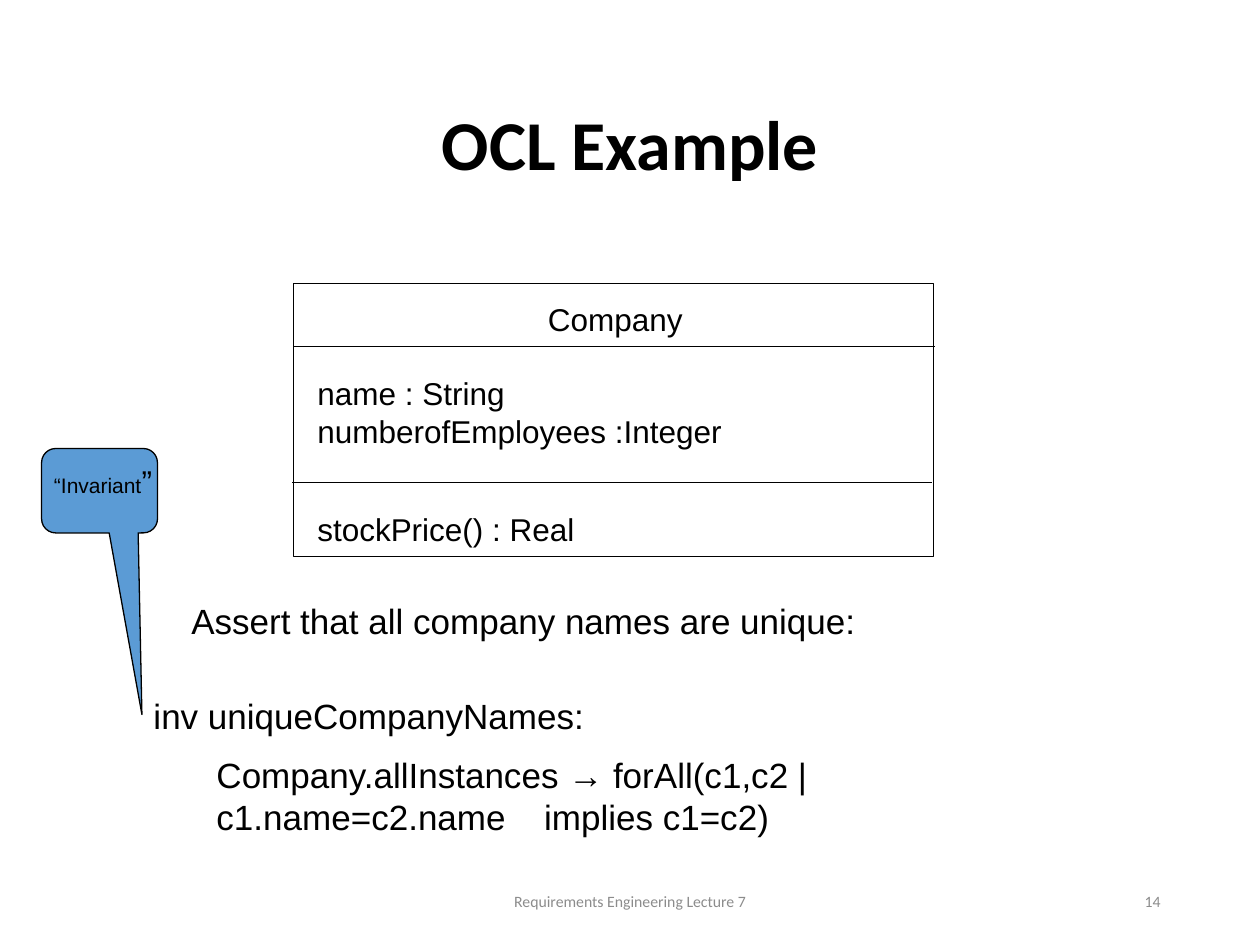
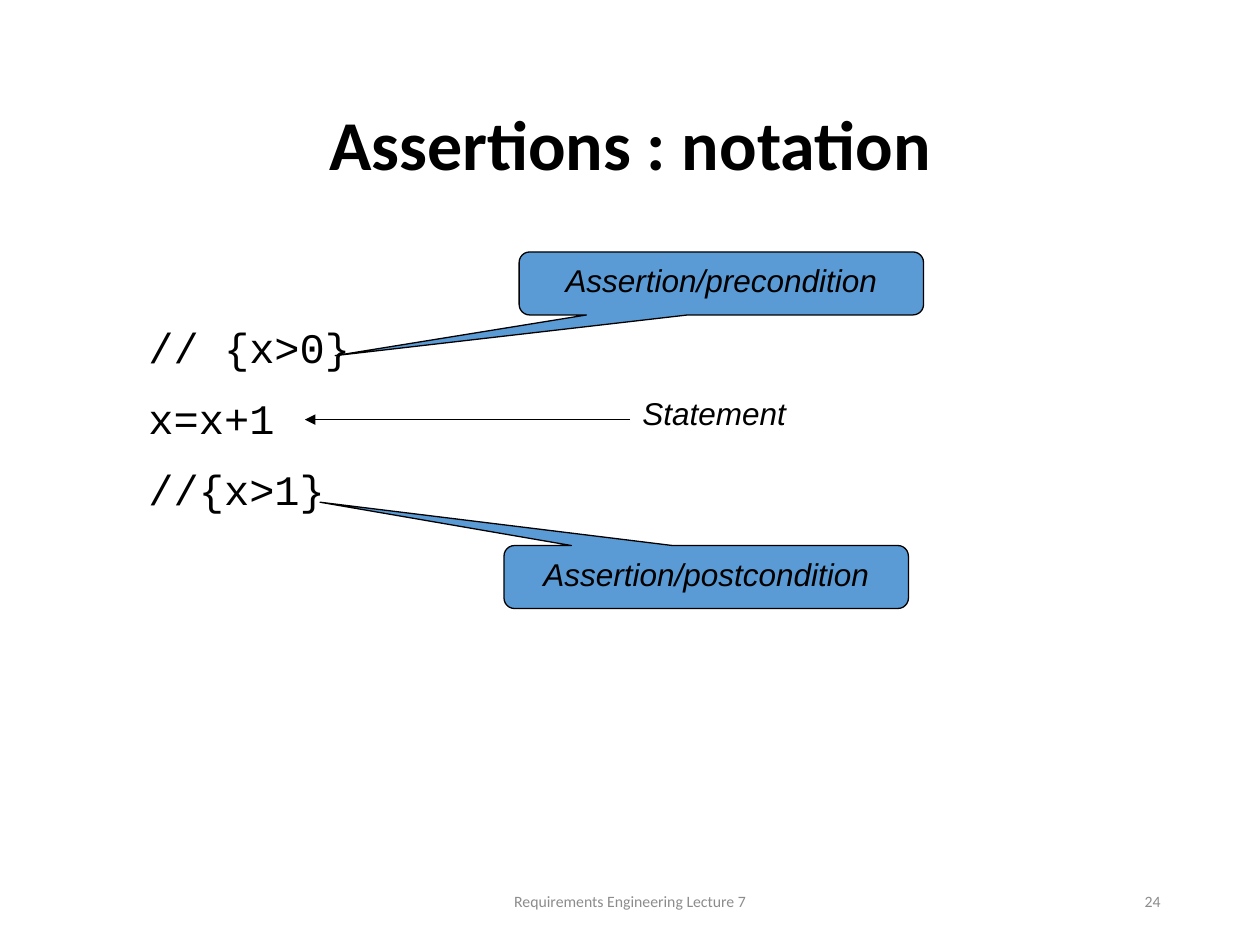
from lxml import etree
from pptx import Presentation
from pptx import util as u
from pptx.dml.color import RGBColor
from pptx.enum import shapes, text
from pptx.oxml import ns

# Content: places are (left, top, width, height) in inches
COLOURS = {"ink": "000000", "callout": "5B9BD5", "footer": "8C8C8C"}
FOOTER = "Requirements Engineering Lecture 7"
TITLE_PLACE = (0.69, 0.77, 8.62, 0.81)
FOOTER_PLACE = (3.31, 6.95, 3.38, 0.4)
NUMBER_PLACE = (7.06, 6.95, 2.25, 0.4)
HALF_LINE = 50  # space before a paragraph, in percent

TITLE = {"name": "Calibri", "size": 40, "bold": True}
SMALL = {"name": "Calibri", "size": 9, "colour": "footer"}
LABEL = {"name": "Arial", "size": 18}
NOTE = {**LABEL, "size": 12}
ITALIC = {**LABEL, "italic": True}
BODY = {**LABEL, "size": 20}
CODE = {"name": "Courier New", "size": 24}

CLASS_BOX = (2.33, 2.25, 5.08, 2.17)
CLASS_DIVIDERS = [((2.33, 2.75), (7.42, 2.75)), ((2.32, 3.83), (7.4, 3.83))]
CLASS_LABELS = [
    ("Company", (4.25, 2.33, 2.58, 0.4)),
    ("name : String numberofEmployees :Integer", (2.42, 2.92, 3.42, 0.7)),
    ("stockPrice() : Real", (2.42, 4, 3.58, 0.4)),
]
# Each line: text, left indent, space before in percent
CONSTRAINT = [
    ("Assert that all company names are unique:", 0.3, HALF_LINE),
    ("inv uniqueCompanyNames:", 0, 150),
    ("Company.allInstances → forAll(c1,c2 | c1.name=c2.name\timplies c1=c2)", 0.5, HALF_LINE),
]
CONSTRAINT_TABS = (2.6, 3.1)

CODE_LINES = ["// {x>0}", "x=x+1", "//{x>1}"]
# Each callout: words, place, tip offset as a share of its size
INVARIANT = ((0.33, 3.56, 0.92, 0.67), (0.366, 2.651))
CONDITIONS = [
    ("Assertion/precondition", (4.12, 2, 3.21, 0.5), (-0.955, 1.146)),
    ("Assertion/postcondition", (4, 4.33, 3.21, 0.5), (-0.955, -1.188)),
]


def inches(values):
    return [u.Inches(value) for value in values]


def colour(name):
    return RGBColor.from_string(COLOURS[name])


def add_span(para, words, style):
    span = para.add_run()
    span.text = words
    values = {**style, "size": u.Pt(style["size"])}
    span.font.color.rgb = colour(values.pop("colour", "ink"))
    for key, value in values.items():
        setattr(span.font, key, value)


def space_before(para, percent):
    spacing = etree.Element(ns.qn("a:spcBef"))
    etree.SubElement(spacing, ns.qn("a:spcPct"), val=str(percent * 1000))
    para._p.get_or_add_pPr().insert(0, spacing)


def add_tabs(para, stops):
    tabs = etree.SubElement(para._p.get_or_add_pPr(), ns.qn("a:tabLst"))
    for stop in stops:
        etree.SubElement(tabs, ns.qn("a:tab"), pos=str(u.Inches(stop)), algn="l")


def add_text(slide, place, lines, style, align=None, anchor=text.MSO_ANCHOR.TOP):
    """Add a text box; each line is a (words, indent, space before) tuple."""
    frame = slide.shapes.add_textbox(*inches(place)).text_frame
    frame.word_wrap = True
    frame.vertical_anchor = anchor
    for index, (words, indent, percent) in enumerate(lines):
        para = frame.add_paragraph() if index else frame.paragraphs[0]
        para.alignment = align
        if indent:
            para._p.get_or_add_pPr().set("marL", str(u.Inches(indent)))
        if percent:
            space_before(para, percent)
        add_span(para, words, style)
    return frame


def add_label(slide, place, words, style):
    return add_text(slide, place, [(words, 0, HALF_LINE)], style)


def style_outline(line):
    line.color.rgb = colour("ink")
    line.width = u.Pt(0.75)


def add_box(slide, kind, place, fill=None):
    box = slide.shapes.add_shape(kind, *inches(place))
    box.shadow.inherit = False
    style_outline(box.line)
    if fill:
        box.fill.solid()
        box.fill.fore_color.rgb = colour(fill)
    else:
        box.fill.background()
    return box


def add_callout(slide, place, tip):
    box = add_box(slide, shapes.MSO_SHAPE.ROUNDED_RECTANGULAR_CALLOUT, place, "callout")
    for index, value in enumerate((*tip, 0.167)):
        box.adjustments[index] = value
    return box


def add_line(slide, start, end, arrow=False):
    line = slide.shapes.add_connector(shapes.MSO_CONNECTOR.STRAIGHT, *inches(start + end))
    style_outline(line.line)
    if arrow:
        etree.SubElement(line.line._get_or_add_ln(), ns.qn("a:tailEnd"), type="triangle")
    etree.SubElement(line._element.spPr, ns.qn("a:effectLst"))


def add_slide(deck, heading, number):
    slide = deck.slides.add_slide(deck.slide_layouts[5])
    # Footer and slide number
    for words, place, align in [
        (FOOTER, FOOTER_PLACE, text.PP_ALIGN.CENTER),
        (number, NUMBER_PLACE, text.PP_ALIGN.RIGHT),
    ]:
        add_text(slide, place, [(words, 0, 0)], SMALL, align, text.MSO_ANCHOR.MIDDLE)
    # Title
    title = slide.shapes.title
    for key, value in zip(("left", "top", "width", "height"), inches(TITLE_PLACE)):
        setattr(title, key, value)
    frame = title.text_frame
    frame.auto_size = text.MSO_AUTO_SIZE.NONE
    frame.vertical_anchor = text.MSO_ANCHOR.MIDDLE
    para = frame.paragraphs[0]
    para.alignment = text.PP_ALIGN.CENTER
    para.line_spacing = 0.9
    add_span(para, heading, TITLE)
    return slide


def build_ocl_example(deck):
    slide = add_slide(deck, "OCL Example", "14")
    # Class diagram
    add_box(slide, shapes.MSO_SHAPE.RECTANGLE, CLASS_BOX)
    for start, end in CLASS_DIVIDERS:
        add_line(slide, start, end)
    for words, place in CLASS_LABELS:
        add_label(slide, place, words, LABEL)
    # Constraint and its callout
    frame = add_text(slide, (1.12, 4.71, 7.7, 2.12), CONSTRAINT, BODY)
    add_tabs(frame.paragraphs[-1], CONSTRAINT_TABS)
    add_callout(slide, *INVARIANT)
    note = add_label(slide, (0.33, 3.62, 1.08, 0.4), "“Invariant", NOTE)
    add_span(note.paragraphs[0], "”", LABEL)


def build_assertions(deck):
    slide = add_slide(deck, "Assertions : notation", "24")
    # Code
    lines = [(words, 0, HALF_LINE) for words in CODE_LINES]
    add_text(slide, (1.08, 2.5, 6.83, 1.7), lines, CODE)
    # Condition callouts
    for words, place, tip in CONDITIONS:
        frame = add_callout(slide, place, tip).text_frame
        frame.word_wrap = True
        frame.vertical_anchor = text.MSO_ANCHOR.TOP
        frame.paragraphs[0].alignment = text.PP_ALIGN.CENTER
        add_span(frame.paragraphs[0], words, ITALIC)
    # Statement arrow
    add_line(slide, (5, 3.33), (2.42, 3.33), arrow=True)
    add_label(slide, (5, 3.08, 1.67, 0.4), "Statement", ITALIC)


def main():
    deck = Presentation()
    deck.slide_width, deck.slide_height = inches((10, 7.5))
    build_ocl_example(deck)
    build_assertions(deck)
    deck.save("out.pptx")


if __name__ == "__main__":
    main()
